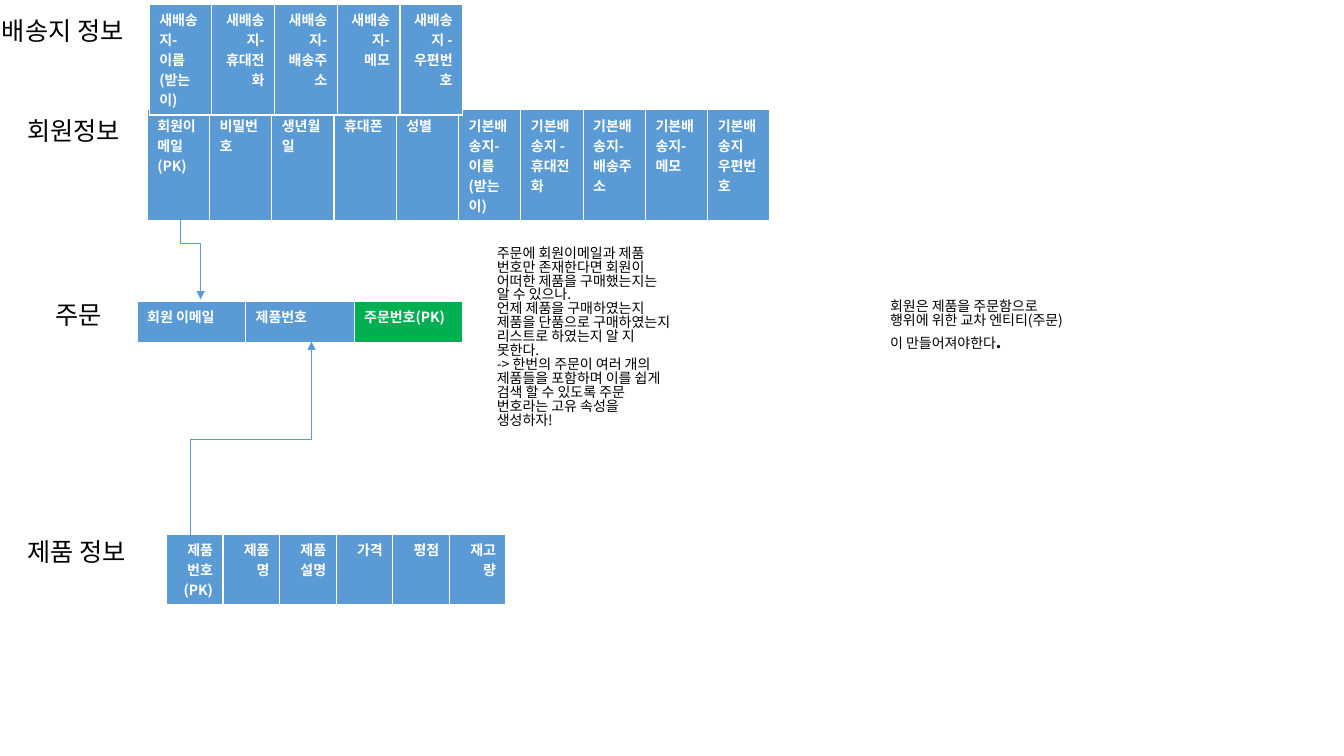
import pptx
import pptx.util
import pptx.dml.color
import pptx.enum.shapes
import pptx.enum.text
import pptx.oxml.ns
import lxml.etree

THEME = {
    "font": "Noto Sans CJK KR",
    "text": "000000",
    "header": "FFFFFF",
    "blue": "5B9BD5",
    "green": "00B050",
    "label": 18,
    "body": 10,
    "leading": 0.83,
}
RGB = pptx.dml.color.RGBColor.from_string
LEFT = pptx.enum.text.PP_ALIGN.LEFT
RIGHT = pptx.enum.text.PP_ALIGN.RIGHT
qn = pptx.oxml.ns.qn


def write(p, text, size=THEME["body"], color=THEME["text"], bold=False, align=LEFT, leading=None):
    p.alignment = align
    if leading:
        p.line_spacing = leading
    r = p.add_run()
    r.text = text
    r.font.size = pptx.util.Pt(size)
    r.font.bold = bold
    r.font.name = THEME["font"]
    r.font.color.rgb = RGB(color)
    lxml.etree.SubElement(r.font._element, qn("a:ea"), typeface=THEME["font"])


prs = pptx.Presentation()
prs.slide_width = pptx.util.Inches(13.33)
prs.slide_height = pptx.util.Inches(7.5)
s = prs.slides.add_slide(prs.slide_layouts[6])
unit = prs.slide_width // 1333

tables = [
    (146, 109, 618, 93, 44, LEFT, LEFT,
     ["회원이메일(PK)", "비밀번호", "생년월일", "휴대폰", "성별",
      "기본배송지-이름(받는이)", "기본배송지 -휴대전화", "기본배송지-배송주소",
      "기본배송지-메모", "기본배송지 우편번호"]),
    (148, 4, 311, 77, 76, LEFT, RIGHT,
     ["새배송지-이름(받는이)", "새배송지-휴대전화", "새배송지-배송주소",
      "새배송지-메모", "새배송지 -우편번호"]),
    (165, 530, 337, 60, 43, RIGHT, RIGHT,
     ["제품번호(PK)", "제품명", "제품설명", "가격", "평점", "재고량"]),
    (136, 299, 323, 41, 41, LEFT, LEFT,
     ["회원 이메일", "제품번호", "주문번호(PK)"]),
]
for x, y, w, h, row, first, rest, names in tables:
    sp = s.shapes.add_table(1, len(names), x * unit, y * unit, w * unit, row * unit)
    sp.height = h * unit
    for i, name in enumerate(names):
        cell = sp.table.cell(0, i)
        cell.fill.solid()
        cell.fill.fore_color.rgb = RGB(THEME["green" if name == "주문번호(PK)" else "blue"])
        write(cell.text_frame.paragraphs[0], name, color=THEME["header"], bold=True,
              align=rest if i else first)

label, body = THEME["label"], THEME["body"]
texts = [
    (17, 115, 150, 40, [[("회원정보", label)]]),
    (-8, 15, 173, 40, [[("배송지 정보", label)]]),
    (17, 532, 147, 40, [[("제품 정보", label)]]),
    (45, 297, 173, 40, [[("주문", label)]]),
    (873, 293, 202, 74,
     [[("회원은 제품을 주문함으로 행위에 위한 교차 엔티티(주문) 이 만들어져야한다", body), (".", label)]]),
    (483, 240, 192, 229,
     [[("주문에 회원이메일과 제품 번호만 존재한다면 회원이 어떠한 제품을 구매했는지는 알 수 있으나.", body)],
      [("언제 제품을 구매하였는지 제품을 단품으로 구매하였는지 리스트로 하였는지 알 지 못한다.", body)],
      [("-> 한번의 주문이 여러 개의 제품들을 포함하며 이를 쉽게 검색 할 수 있도록 주문 번호라는 고유 속성을 생성하자!", body)]]),
]
for x, y, w, h, paragraphs in texts:
    tf = s.shapes.add_textbox(x * unit, y * unit, w * unit, h * unit).text_frame
    tf.word_wrap = True
    tf.auto_size = pptx.enum.text.MSO_AUTO_SIZE.SHAPE_TO_FIT_TEXT
    for i, runs in enumerate(paragraphs):
        p = tf.add_paragraph() if i else tf.paragraphs[0]
        for text, size in runs:
            write(p, text, size=size, leading=THEME["leading"])

for x1, y1, x2, y2 in [(179, 186, 199, 297), (189, 532, 309, 339)]:
    up = y2 < y1
    cx, cy = (x1 + x2) * unit // 2, (y1 + y2) * unit // 2
    dx = abs(y2 - y1) * unit // 2
    dy = (x2 - x1) * unit // 2 * (1 if up else -1)
    sp = s.shapes.add_connector(pptx.enum.shapes.MSO_CONNECTOR.ELBOW,
                                cx + dx, cy + dy, cx - dx, cy - dy)
    sp.line.color.rgb = RGB(THEME["blue"])
    sp.line.width = pptx.util.Pt(0.5)
    props = sp.element.spPr
    props.find(qn("a:xfrm")).set("rot", str((90 if up else 270) * 60000))
    lxml.etree.SubElement(props.find(qn("a:ln")), qn("a:tailEnd"), type="triangle")
    lxml.etree.SubElement(props, qn("a:effectLst"))

prs.save("out.pptx")
